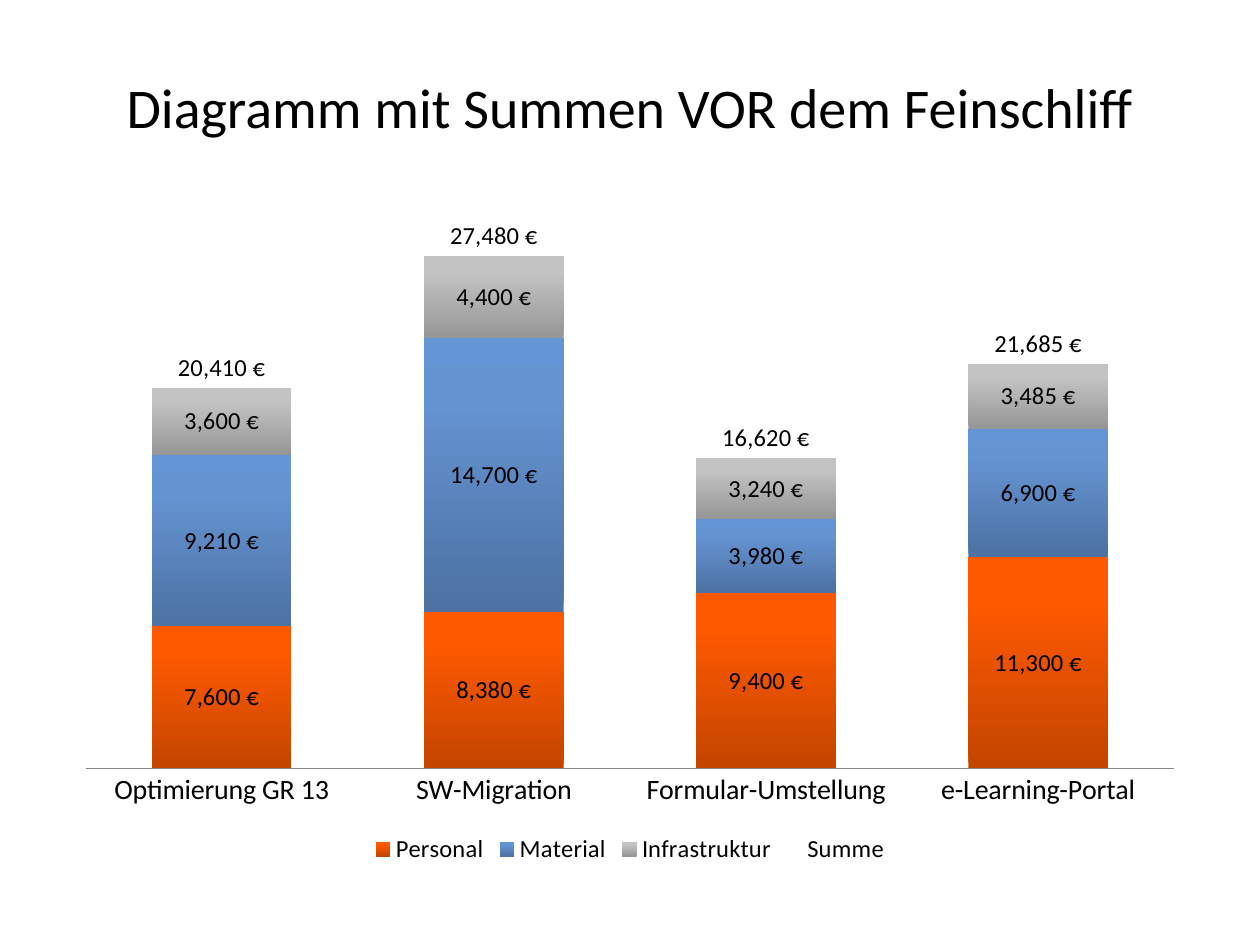
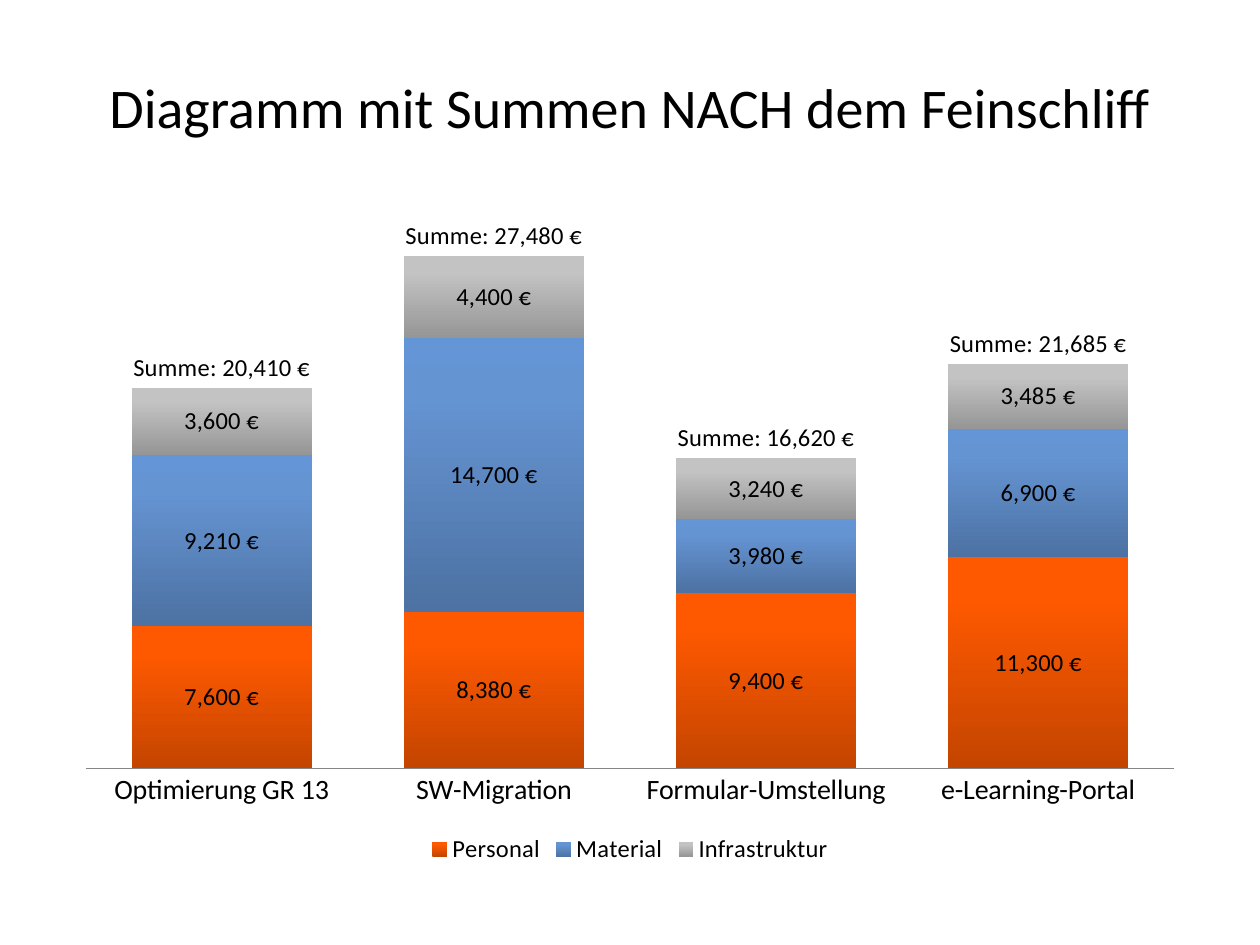
import pptx
import pptx.util
import pptx.oxml
import pptx.oxml.ns
import pptx.dml.color
import pptx.chart.data
import pptx.enum.chart
import pptx.enum.text

RGB = pptx.dml.color.RGBColor
ENUM = pptx.enum.chart
BLACK = RGB(0x00, 0x00, 0x00)
GREY = RGB(0x86, 0x86, 0x86)
ORANGE = (RGB(0xC4, 0x45, 0x00), RGB(0xFE, 0x59, 0x00), RGB(0xFF, 0x5A, 0x00))
BLUE = (RGB(0x4D, 0x72, 0xA3), RGB(0x65, 0x94, 0xD3), RGB(0x63, 0x95, 0xD7))
SILVER = (RGB(0x96, 0x96, 0x96), RGB(0xC3, 0xC3, 0xC3), RGB(0xC4, 0xC4, 0xC4))
STOPS = (0, 80, 100)

COLS, ROWS = 200, 150
HEAD = (10, 6, 180, 21.8)
BODY = (10, 31, 180, 107)
PLOT = {"x": 0.02, "y": 0.02, "w": 0.96, "h": 0.83}

EURO = '#,##0\\ "€"'
GROUPS = ("Optimierung GR 13", "SW-Migration", "Formular-Umstellung", "e-Learning-Portal")
COSTS = (
    ("Personal", (7600, 8380, 9400, 11300), ORANGE),
    ("Material", (9210, 14700, 3980, 6900), BLUE),
    ("Infrastruktur", (3600, 4400, 3240, 3485), SILVER),
)
SLIDES = (
    ("Diagramm mit Summen VOR dem Feinschliff", 95, EURO, True),
    ("Diagramm mit Summen NACH dem Feinschliff", 51, '"Summe:"\\ ' + EURO, False),
)


def style(item, **values):
    """Set every given value on the item."""
    for name, value in values.items():
        setattr(item, name, value)


def ink(font, size):
    """Give a font the shared face and colour at the given size."""
    style(font, name="Calibri", size=pptx.util.Pt(size))
    font.color.rgb = BLACK


def place(deck, box):
    """Turn a grid box into left, top, width and height on the slide."""
    units = (deck.slide_width / COLS, deck.slide_height / ROWS) * 2
    return [round(part * unit) for part, unit in zip(box, units)]


def node(text):
    """Make an XML element with the chart and drawing namespaces."""
    head, tail = text.split(">", 1)
    spaces = pptx.oxml.ns.nsdecls("c", "a")
    return pptx.oxml.parse_xml(f"{head} {spaces}>{tail}")


def shade(bar, tones):
    """Fill a bar series with an upward gradient."""
    stops = "".join(
        f'<a:gs pos="{stop * 1000}"><a:srgbClr val="{tone}"/></a:gs>'
        for stop, tone in zip(STOPS, tones)
    )
    fill = f'<a:gradFill><a:gsLst>{stops}</a:gsLst><a:lin ang="16200000" scaled="0"/></a:gradFill>'
    bar.format.line.fill.background()
    bar.format.fill.background()
    props = bar.format.fill._xPr
    none = props.find(pptx.oxml.ns.qn("a:noFill"))
    props.replace(none, node(fill))


def label(series, form, spot):
    """Show the values of a series in the given number format."""
    marks = series.data_labels
    style(marks, show_value=True, number_format=form, number_format_is_linked=False, position=spot)
    ink(marks.font, 14)


def split(chart):
    """Move the last bar series to a line plot on the same axes."""
    qn = pptx.oxml.ns.qn
    bars = chart.plots[0]._element
    total = bars.findall(qn("c:ser"))[-1]
    for flag in total.findall(qn("c:invertIfNegative")):
        total.remove(flag)
    axes = "".join(f'<c:axId val="{axis.get("val")}"/>' for axis in bars.findall(qn("c:axId")))
    line = node(
        '<c:lineChart><c:grouping val="standard"/><c:varyColors val="0"/>'
        f'<c:marker val="1"/>{axes}</c:lineChart>'
    )
    line.insert(2, total)
    bars.addnext(line)


def frame(chart):
    """Fix the inner plot area as shares of the chart."""
    area = chart.plots[0]._element.getparent()
    for old in area.findall(pptx.oxml.ns.qn("c:layout")):
        area.remove(old)
    modes = "".join(f'<c:{side}Mode val="edge"/>' for side in "xy")
    sizes = "".join(f'<c:{side} val="{share}"/>' for side, share in PLOT.items())
    area.insert(0, node(
        '<c:layout><c:manualLayout><c:layoutTarget val="inner"/>'
        f"{modes}{sizes}</c:manualLayout></c:layout>"
    ))


def axes(chart):
    """Style the category axis and hide the value axis."""
    base, scale = chart.category_axis, chart.value_axis
    style(base, major_tick_mark=ENUM.XL_TICK_MARK.NONE, has_major_gridlines=False)
    style(base.format.line, width=pptx.util.Pt(0.75))
    base.format.line.color.rgb = GREY
    ink(base.tick_labels.font, 16)
    style(scale, visible=False, has_major_gridlines=False, minimum_scale=0, maximum_scale=30000)
    style(scale.tick_labels, number_format=EURO, number_format_is_linked=False)


def legend(chart, full):
    """Put the legend below, with or without the sum entry."""
    chart.has_legend = True
    key = chart.legend
    style(key, position=ENUM.XL_LEGEND_POSITION.BOTTOM, include_in_layout=False)
    ink(key.font, 14)
    if not full:
        spot = key._element.find(pptx.oxml.ns.qn("c:legendPos"))
        spot.addnext(node(
            f'<c:legendEntry><c:idx val="{len(COSTS)}"/><c:delete val="1"/></c:legendEntry>'
        ))


def title(slide, box, text):
    """Write the slide title into its placeholder."""
    head = slide.shapes.title
    style(head, **dict(zip(("left", "top", "width", "height"), box)))
    style(head.text_frame, text=text, word_wrap=True,
          vertical_anchor=pptx.enum.text.MSO_ANCHOR.MIDDLE)
    line = head.text_frame.paragraphs[0]
    line.alignment = pptx.enum.text.PP_ALIGN.CENTER
    ink(line.runs[0].font, 32)


def stack(slide, box, gap, form, full):
    """Draw the stacked cost columns with their sums on top."""
    data = pptx.chart.data.CategoryChartData(number_format=EURO)
    data.categories = GROUPS
    for name, costs, _ in COSTS:
        data.add_series(name, costs)
    data.add_series("Summe", [sum(group) for group in zip(*(row[1] for row in COSTS))])
    chart = slide.shapes.add_chart(ENUM.XL_CHART_TYPE.COLUMN_STACKED, *box, data).chart
    chart.has_title = False
    ink(chart.font, 14)
    split(chart)
    frame(chart)
    axes(chart)
    legend(chart, full)
    bars, sums = chart.plots
    style(bars, gap_width=gap, overlap=100, vary_by_categories=False)
    for bar, (_, _, tones) in zip(bars.series, COSTS):
        shade(bar, tones)
        label(bar, EURO, ENUM.XL_LABEL_POSITION.CENTER)
    total = sums.series[0]
    total.smooth = False
    total.format.line.fill.background()
    total.marker.style = ENUM.XL_MARKER_STYLE.NONE
    label(total, form, ENUM.XL_LABEL_POSITION.ABOVE)


def main():
    """Build and save the deck."""
    deck = pptx.Presentation()
    style(deck, slide_width=pptx.util.Inches(10), slide_height=pptx.util.Inches(7.5))
    for text, gap, form, full in SLIDES:
        slide = deck.slides.add_slide(deck.slide_layouts[5])
        title(slide, place(deck, HEAD), text)
        stack(slide, place(deck, BODY), gap, form, full)
    deck.save("out.pptx")


if __name__ == "__main__":
    main()
